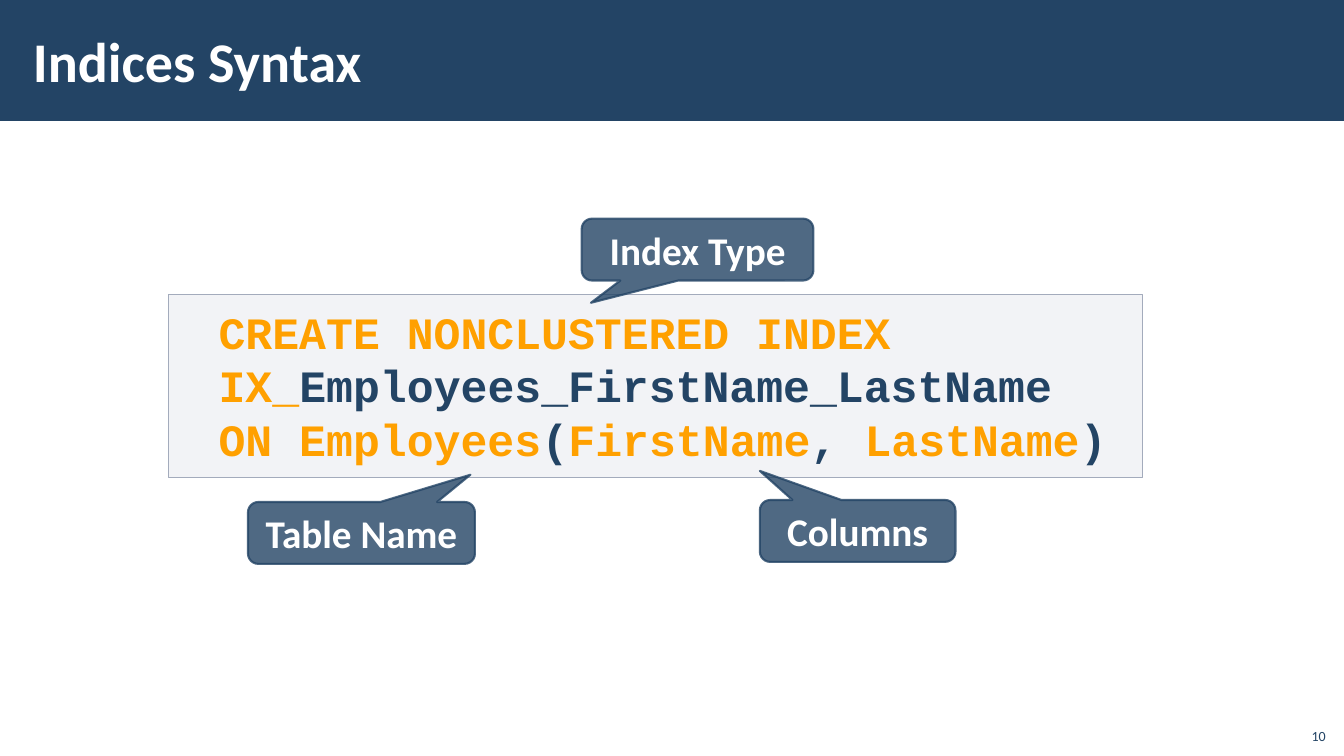
from dataclasses import dataclass

from lxml.etree import SubElement
from pptx import Presentation
from pptx.dml.color import RGBColor
from pptx.enum.shapes import MSO_SHAPE
from pptx.enum.text import MSO_ANCHOR, PP_ALIGN
from pptx.oxml.ns import qn
from pptx.util import Cm, Pt


@dataclass(frozen=True)
class Theme:
    navy: RGBColor = RGBColor(0x23, 0x44, 0x65)
    orange: RGBColor = RGBColor(0xFF, 0xA0, 0x00)
    white: RGBColor = RGBColor(0xFF, 0xFF, 0xFF)
    panel: RGBColor = RGBColor(0xC2, 0xC7, 0xD2)
    panel_edge: RGBColor = RGBColor(0xA3, 0xAB, 0xBC)
    text_font: str = "Calibri"
    code_font: str = "Courier New"
    title_size: Pt = Pt(40)
    code_size: Pt = Pt(32)
    label_size: Pt = Pt(28)
    number_size: Pt = Pt(10)


theme = Theme()


def paint(fill, color, opacity=100):
    """Make a fill solid, with its opacity in percent."""
    fill.solid()
    fill.fore_color.rgb = color
    if opacity < 100:
        solid = fill._xPr.find(qn("a:solidFill"))
        SubElement(solid[0], qn("a:alpha"), val=str(opacity * 1000))


def add_run(paragraph, text, size, color, font=theme.text_font, bold=True):
    run = paragraph.add_run()
    run.text = text
    run.font.name = font
    run.font.size = size
    run.font.bold = bold
    run.font.color.rgb = color


prs = Presentation()
prs.slide_width, prs.slide_height = Cm(33.87), Cm(19.05)
slide = prs.slides.add_slide(prs.slide_layouts[5])
shapes = slide.shapes

# Title on its band
title = shapes.title
band = shapes.add_shape(MSO_SHAPE.RECTANGLE, 0, 0, prs.slide_width, Cm(3.05))
band.shadow.inherit = False
paint(band.fill, theme.navy)
band.line.fill.background()
title.element.addprevious(band.element)

title.left, title.top, title.width, title.height = Cm(0.53), Cm(0.28), Cm(27), Cm(2.46)
heading = title.text_frame
heading.vertical_anchor = MSO_ANCHOR.MIDDLE
heading.margin_left = heading.margin_right = Cm(0.3)
heading.margin_top = heading.margin_bottom = Cm(0.1)
heading.paragraphs[0].alignment = PP_ALIGN.LEFT
add_run(heading.paragraphs[0], "Indices Syntax", theme.title_size, theme.white)

# SQL statement
statement = [
    [("CREATE NONCLUSTERED INDEX IX_", theme.orange),
     ("Employees_FirstName_LastName", theme.navy)],
    [("ON Employees", theme.orange), ("(", theme.navy),
     ("FirstName", theme.orange), (", ", theme.navy),
     ("LastName", theme.orange), (")", theme.navy)],
]
panel = shapes.add_shape(MSO_SHAPE.RECTANGLE, Cm(4.24), Cm(7.42), Cm(24.56), Cm(4.62))
panel.shadow.inherit = False
paint(panel.fill, theme.panel, 20)
paint(panel.line.fill, theme.panel_edge)
panel.line.width = Pt(1)
code = panel.text_frame
code.word_wrap = True
code.vertical_anchor = MSO_ANCHOR.TOP
code.margin_left, code.margin_right = Cm(1.27), 0
code.margin_top = code.margin_bottom = Cm(0.25)
for number, pieces in enumerate(statement):
    line = code.add_paragraph() if number else code.paragraphs[0]
    line.alignment = PP_ALIGN.LEFT
    for text, color in pieces:
        add_run(line, text, theme.code_size, color, theme.code_font)

# Callouts: label, left, top, width, pointer offset from the centre
callouts = [
    ("Table Name", 6.25, 12.65, 5.72, (0.48, -0.94)),
    ("Columns", 19.15, 12.6, 4.93, (-0.5, -0.97)),
    ("Index Type", 14.66, 5.51, 5.84, (-0.46, 0.86)),
]
for label, left, top, width, pointer in callouts:
    callout = shapes.add_shape(MSO_SHAPE.ROUNDED_RECTANGULAR_CALLOUT,
                               Cm(left), Cm(top), Cm(width), Cm(1.56))
    callout.shadow.inherit = False
    callout.adjustments[0], callout.adjustments[1] = pointer
    paint(callout.fill, theme.navy, 80)
    paint(callout.line.fill, theme.navy, 80)
    callout.line.width = Pt(1.5)
    callout.text_frame.word_wrap = True
    callout.text_frame.vertical_anchor = MSO_ANCHOR.MIDDLE
    caption = callout.text_frame.paragraphs[0]
    caption.alignment = PP_ALIGN.CENTER
    add_run(caption, label, theme.label_size, theme.white)

# Slide number
footer = shapes.add_textbox(Cm(32.64), Cm(18.08), Cm(1.02), Cm(0.81)).text_frame
footer.word_wrap = True
footer.vertical_anchor = MSO_ANCHOR.BOTTOM
footer.paragraphs[0].alignment = PP_ALIGN.RIGHT
add_run(footer.paragraphs[0], "10", theme.number_size, theme.navy, bold=False)

prs.save("out.pptx")
